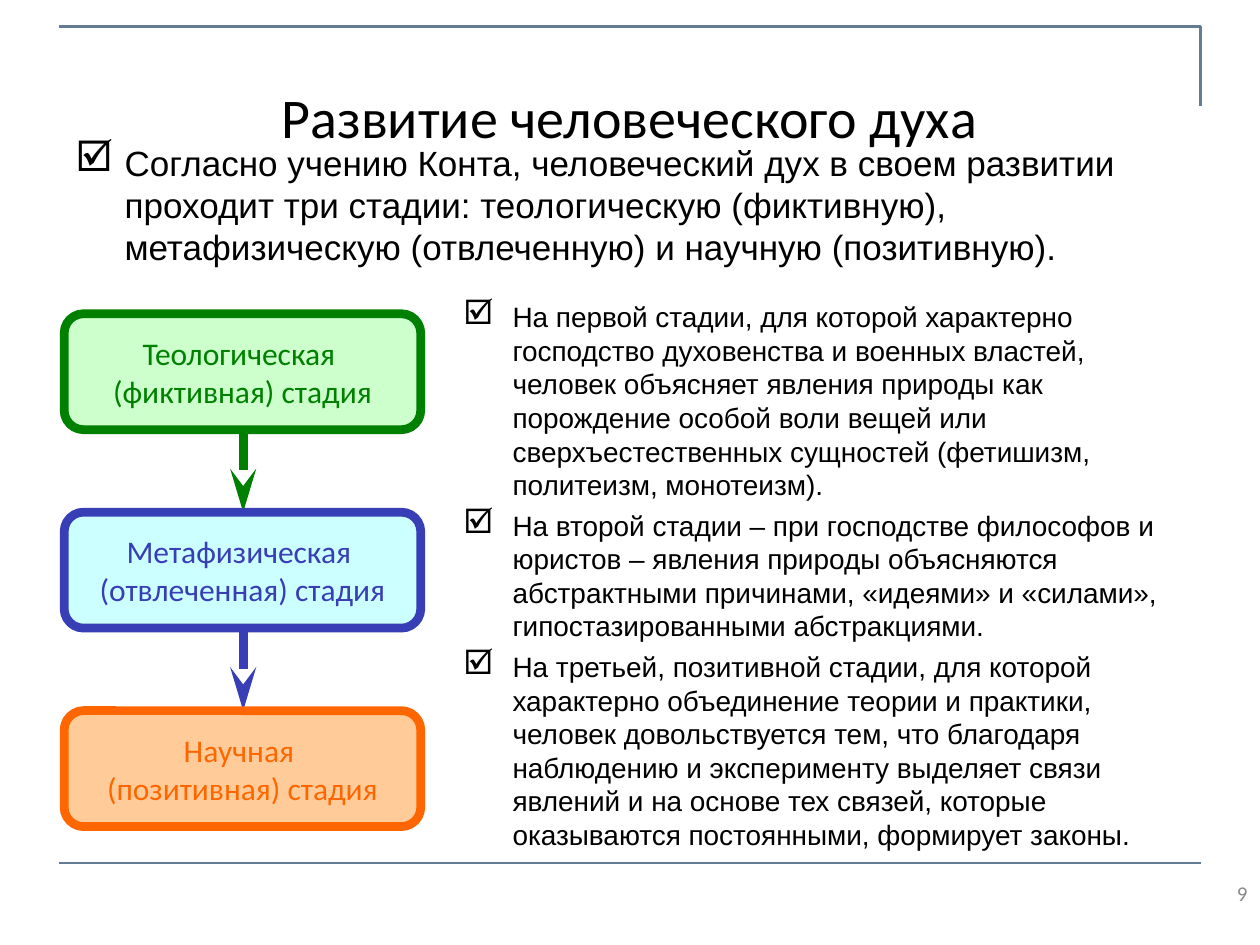
import pptx
import pptx.util
import pptx.dml.color
import pptx.enum.shapes
import pptx.enum.text
import pptx.oxml.ns
from lxml import etree

Inches, Pt = pptx.util.Inches, pptx.util.Pt
RGBColor = pptx.dml.color.RGBColor
ALIGN = pptx.enum.text.PP_ALIGN
ANCHOR = pptx.enum.text.MSO_ANCHOR
SHAPE = pptx.enum.shapes.MSO_SHAPE
qn = pptx.oxml.ns.qn

BLACK = RGBColor(0x00, 0x00, 0x00)
GRAY = RGBColor(0x89, 0x89, 0x89)
SLATE = RGBColor(0x63, 0x7B, 0x95)
GREEN = RGBColor(0x00, 0x80, 0x00)
PALE_GREEN = RGBColor(0xCC, 0xFF, 0xCC)
BLUE = RGBColor(0x38, 0x3E, 0xB6)
PALE_BLUE = RGBColor(0xCC, 0xFF, 0xFF)
ORANGE = RGBColor(0xFF, 0x66, 0x00)
PALE_ORANGE = RGBColor(0xFF, 0xCC, 0x99)

TITLE = "Развитие человеческого духа"
INTRO = [
    "Согласно учению Конта, человеческий дух в своем развитии проходит три стадии: "
    "теологическую (фиктивную), метафизическую (отвлеченную) и научную (позитивную).",
]
STAGES = [
    ("Теологическая \v(фиктивная) стадия", GREEN, PALE_GREEN),
    ("Метафизическая \v(отвлеченная) стадия", BLUE, PALE_BLUE),
    ("Научная \v(позитивная) стадия", ORANGE, PALE_ORANGE),
]
DETAILS = [
    "На первой стадии, для которой характерно господство духовенства и военных властей, "
    "человек объясняет явления природы как порождение особой воли вещей или "
    "сверхъестественных сущностей (фетишизм, политеизм, монотеизм).",
    "На второй стадии – при господстве философов и юристов – явления природы объясняются "
    "абстрактными причинами, «идеями» и «силами», гипостазированными абстракциями.",
    "На третьей, позитивной стадии, для которой характерно объединение теории и практики, "
    "человек довольствуется тем, что благодаря наблюдению и эксперименту выделяет связи "
    "явлений и на основе тех связей, которые оказываются постоянными, формирует законы.",
]

STAGE_LEFT, STAGE_TOP, STAGE_PITCH = 0.51, 2.49, 1.575
STAGE_WIDTH, STAGE_HEIGHT = 2.83, 0.92
ARROW_X, ARROW_GAP = 1.93, 0.03
BULLET_INDENT = Inches(0.39)


def add_bullet(para):
    properties = para._p.get_or_add_pPr()
    properties.set("marL", str(BULLET_INDENT))
    properties.set("indent", str(-BULLET_INDENT))
    color = etree.SubElement(properties, qn("a:buClr"))
    etree.SubElement(color, qn("a:srgbClr"), val=str(BLACK))
    etree.SubElement(properties, qn("a:buSzPct"), val="120000")
    etree.SubElement(properties, qn("a:buChar"), char="☑")


def write(box, texts, size, font="Calibri", color=BLACK, align=ALIGN.LEFT,
          anchor=ANCHOR.MIDDLE, wrap=True, bullet=False, gap=0):
    frame = box.text_frame
    frame.word_wrap = wrap
    frame.vertical_anchor = anchor
    for index, text in enumerate(texts):
        para = frame.paragraphs[0] if index == 0 else frame.add_paragraph()
        para.text = text
        para.alignment = align
        if index:
            para.space_before = Pt(gap)
        if bullet:
            add_bullet(para)
        for span in para.runs:
            span.font.size = Pt(size)
            span.font.name = font
            span.font.color.rgb = color


def add_text(page, place, texts, size, **style):
    box = page.shapes.add_textbox(*map(Inches, place))
    write(box, texts, size, **style)


def add_line(page, start, end, color, width, arrow=False):
    line = page.shapes.add_connector(
        pptx.enum.shapes.MSO_CONNECTOR.STRAIGHT, *map(Inches, start + end))
    line.line.color.rgb = color
    line.line.width = Pt(width)
    if arrow:
        etree.SubElement(line.line._get_or_add_ln(), qn("a:tailEnd"),
                         type="stealth", w="med", len="lg")
    etree.SubElement(line._element.spPr, qn("a:effectLst"))


def add_frame(page):
    builder = page.shapes.build_freeform(Inches(0.47), Inches(0.21))
    builder.add_line_segments(
        [(Inches(9.53), Inches(0.21)), (Inches(9.53), Inches(0.84))], close=False)
    corner = builder.convert_to_shape()
    corner.shadow.inherit = False
    corner.fill.background()
    corner.line.color.rgb = SLATE
    corner.line.width = Pt(1.5)
    add_line(page, (0.47, 6.85), (9.53, 6.85), SLATE, 1.5)


def add_stages(page):
    for index, (label, color, fill) in enumerate(STAGES):
        top = STAGE_TOP + index * STAGE_PITCH
        stage = page.shapes.add_shape(
            SHAPE.ROUNDED_RECTANGLE,
            *map(Inches, (STAGE_LEFT, top, STAGE_WIDTH, STAGE_HEIGHT)))
        stage.shadow.inherit = False
        stage.fill.solid()
        stage.fill.fore_color.rgb = fill
        stage.line.color.rgb = color
        stage.line.width = Pt(5)
        write(stage, [label], 18, color=color, align=ALIGN.CENTER, wrap=False)
        if index < len(STAGES) - 1:
            add_line(page, (ARROW_X, top + STAGE_HEIGHT + ARROW_GAP),
                     (ARROW_X, top + STAGE_PITCH), color, 5, arrow=True)


def main():
    deck = pptx.Presentation()
    deck.slide_width, deck.slide_height = Inches(10), Inches(7.5)
    page = deck.slides.add_slide(deck.slide_layouts[6])
    add_frame(page)
    add_text(page, (0.5, 0.3, 9, 1.25), [TITLE], 32, align=ALIGN.CENTER)
    add_text(page, (7.67, 6.83, 2.33, 0.52), ["9"], 12, color=GRAY, align=ALIGN.RIGHT)
    add_stages(page)
    listing = dict(font="Arial", anchor=ANCHOR.TOP, bullet=True, gap=4)
    add_text(page, (0.5, 1.07, 8.99, 1.22), INTRO, 20, **listing)
    add_text(page, (3.58, 2.33, 5.83, 4.6), DETAILS, 16, **listing)
    deck.save("out.pptx")


if __name__ == "__main__":
    main()
